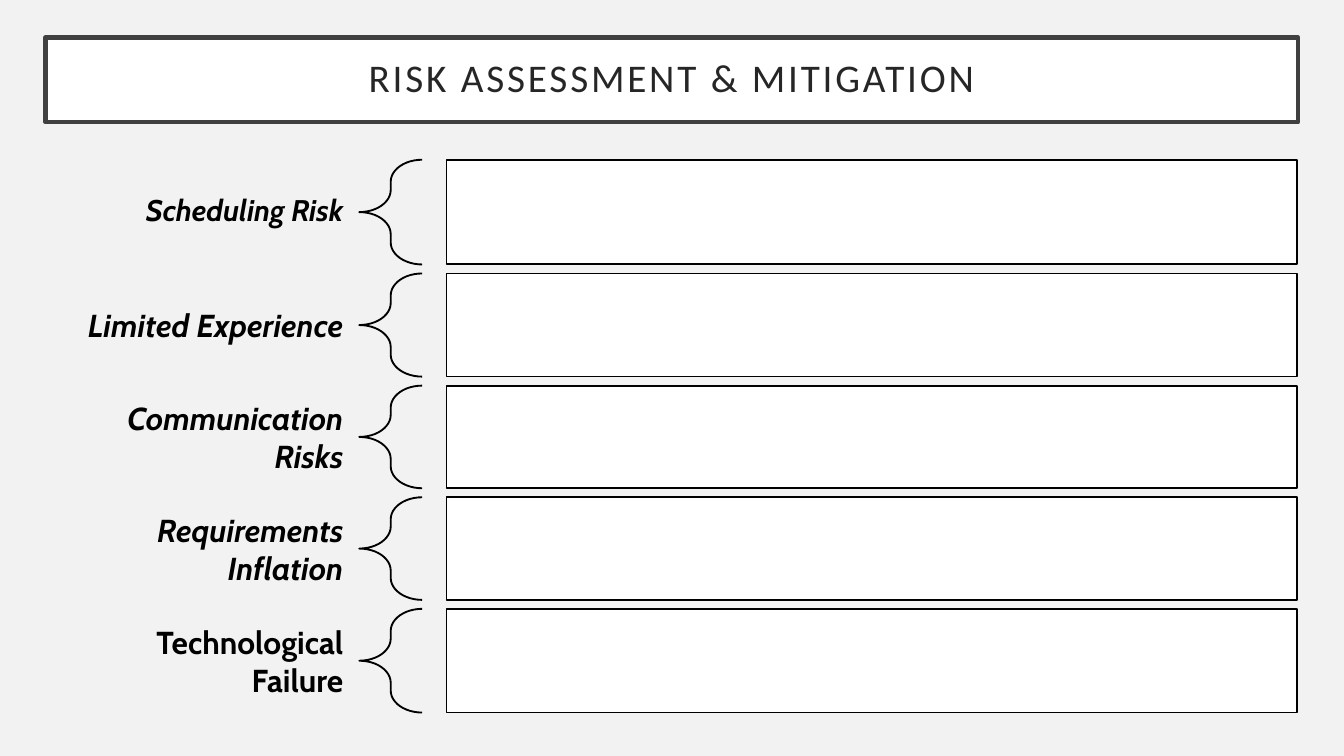
from pptx import Presentation
from pptx.dml.color import RGBColor as RGB
from pptx.enum.shapes import MSO_SHAPE as Kind
from pptx.enum.text import MSO_ANCHOR as Anchor, MSO_AUTO_SIZE as Auto, PP_ALIGN as Align
from pptx.util import Cm, Pt

theme = {
    "back": RGB.from_string("F2F2F2"),
    "white": RGB.from_string("FFFFFF"),
    "black": RGB.from_string("000000"),
    "frame": RGB.from_string("404040"),
    "ink": RGB.from_string("262626"),
    "title": Pt(21),
    "small": Pt(16),
    "label": Pt(17),
    "thick": Pt(2.5),
    "thin": Pt(1),
}


def write(shape, text, align, pad, font, color, space):
    frame = shape.text_frame
    frame.text = text
    form = {
        "word_wrap": True,
        "auto_size": Auto.NONE,
        "vertical_anchor": Anchor.MIDDLE,
        "margin_left": Cm(pad[0]),
        "margin_right": Cm(pad[0]),
        "margin_top": Cm(pad[1]),
        "margin_bottom": Cm(pad[1]),
    }
    for key, val in form.items():
        setattr(frame, key, val)
    para = frame.paragraphs[0]
    para.alignment = align
    para.line_spacing = space
    run = para.runs[0]
    for key, val in font.items():
        setattr(run.font, key, val)
    run.font.color.rgb = color
    return run


def trim(shape, fill, color, width):
    if fill is None:
        shape.fill.background()
    else:
        shape.fill.solid()
        shape.fill.fore_color.rgb = fill
    shape.line.color.rgb = color
    shape.line.width = width
    shape.shadow.inherit = False


deck = Presentation()
deck.slide_width, deck.slide_height = Cm(25.4), Cm(14.29)
slide = deck.slides.add_slide(deck.slide_layouts[5])
slide.background.fill.solid()
slide.background.fill.fore_color.rgb = theme["back"]

title = slide.shapes.title
place = {"left": Cm(0.86), "top": Cm(0.71), "width": Cm(23.67), "height": Cm(1.6)}
for key, val in place.items():
    setattr(title, key, val)
trim(title, theme["white"], theme["frame"], theme["thick"])
font = {"name": "Calibri", "size": theme["title"], "bold": False}
run = write(title, "RISK ASSESSMENT & MITIGATION", Align.CENTER,
            (0.25, 0.25), font, theme["ink"], 0.9)
run.font._element.set("spc", "150")

rows = [
    ("Scheduling Risk", 1.98, 0.94, "small", True, 0.9),
    ("Limited Experience", 1.95, 0.99, "label", True, 1.0),
    ("Communication Risks", 1.94, 1.73, "label", True, 1.0),
    ("Requirements Inflation", 1.94, 1.73, "label", True, 1.0),
    ("Technological Failure", 1.96, 0.99, "label", False, 1.0),
]
gap = 0.17
top = 3.02
for text, tall, high, size, slant, space in rows:
    label = slide.shapes.add_textbox(
        Cm(0.89), Cm(top + (tall - high) / 2), Cm(5.92), Cm(high))
    font = {"name": "Cabin", "size": theme[size], "bold": True, "italic": slant}
    write(label, text, Align.RIGHT, (0.32, 0.12), font, theme["black"], space)

    brace = slide.shapes.add_shape(Kind.LEFT_BRACE, Cm(6.79), Cm(top), Cm(1.19), Cm(tall))
    brace.adjustments[0] = 0.35
    trim(brace, None, theme["black"], theme["thin"])

    box = slide.shapes.add_shape(Kind.RECTANGLE, Cm(8.44), Cm(top), Cm(16.08), Cm(tall))
    trim(box, theme["white"], theme["black"], theme["thin"])
    top += tall + gap

deck.save("out.pptx")
